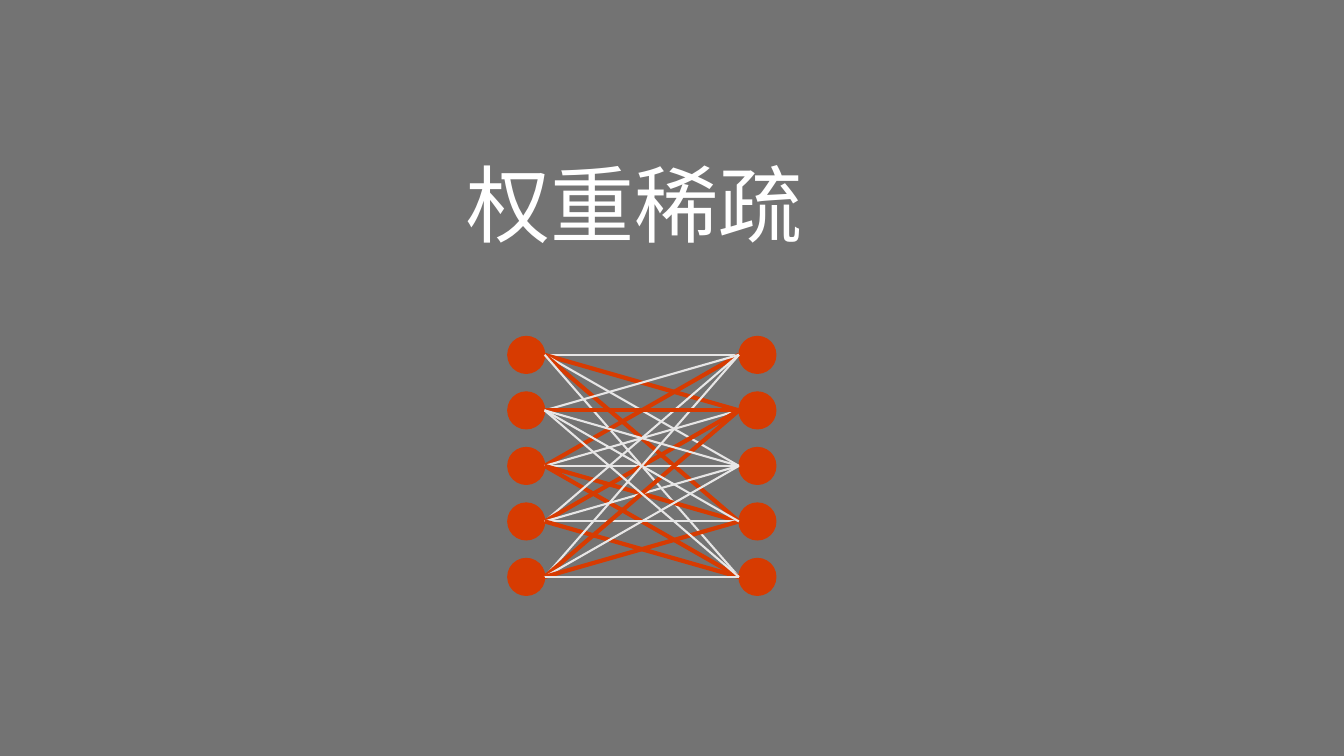
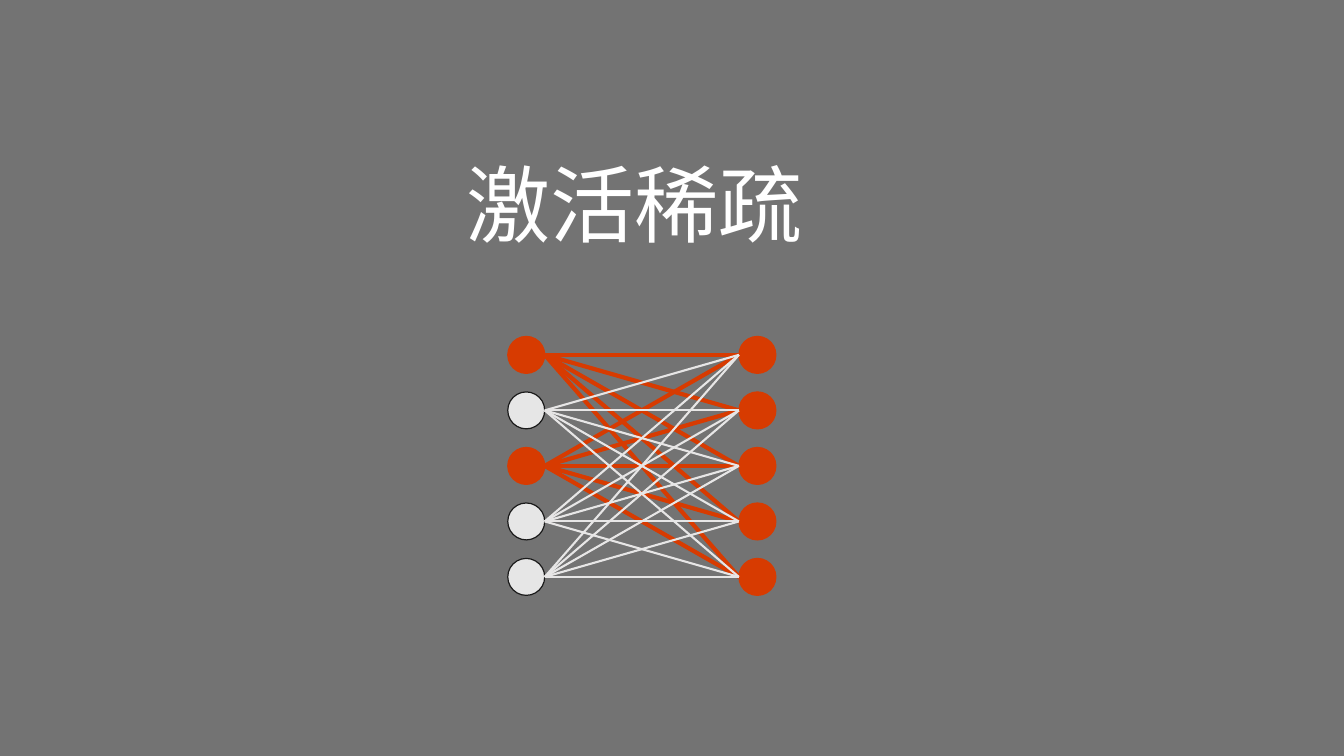
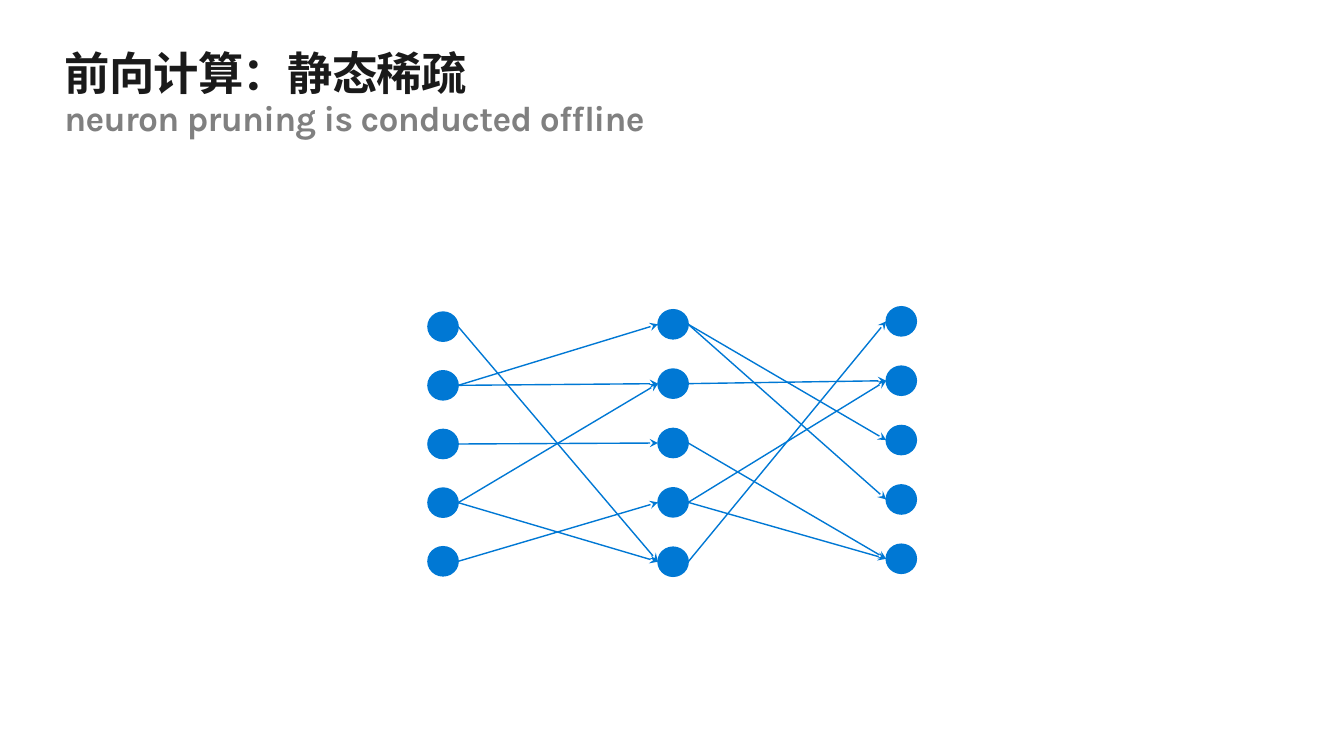
"""Build three slides on weight, activation and static sparsity."""
from lxml.etree import SubElement
from pptx import Presentation
from pptx.dml.color import RGBColor
from pptx.enum.shapes import MSO_CONNECTOR, MSO_SHAPE
from pptx.enum.text import MSO_ANCHOR, MSO_AUTO_SIZE, PP_ALIGN
from pptx.oxml.ns import qn
from pptx.util import Pt

COLORS = {
    "gray": "737373",
    "white": "FFFFFF",
    "ink": "1A1A1A",
    "subtitle": "808080",
    "orange": "D73B01",
    "idle_node": "E6E6E6",
    "idle_wire": "E7E6E6",
    "blue": "0078D4",
}
FONT = "Karla"
ROWS = 5


def add_slide(background, box, inset, lines, spacing):
    slide = presentation.slides.add_slide(presentation.slide_layouts[5])
    slide.background.fill.solid()
    slide.background.fill.fore_color.rgb = RGBColor.from_string(COLORS[background])
    title = slide.shapes.title
    title.left, title.top, title.width, title.height = [Pt(value) for value in box]
    frame = title.text_frame
    frame.word_wrap = True
    frame.auto_size = MSO_AUTO_SIZE.NONE
    frame.vertical_anchor = MSO_ANCHOR.TOP
    frame.margin_left = frame.margin_right = Pt(inset)
    frame.margin_top = frame.margin_bottom = Pt(inset / 2)
    paragraph = frame.paragraphs[0]
    paragraph.alignment = PP_ALIGN.LEFT
    paragraph.line_spacing = spacing
    for index, (text, size, color, bold) in enumerate(lines):
        if index:
            paragraph.add_line_break()
        run = paragraph.add_run()
        run.text = text
        run.font.name = FONT
        run.font.size = Pt(size)
        run.font.bold = bold
        run.font.color.rgb = RGBColor.from_string(COLORS[color])
        if bold:
            run.font._element.set("spc", "-50")
    return slide


def add_network(slide, columns, node_size, node_style, wires, arrow=False):
    width, height = node_size
    shapes = slide.shapes.add_group_shape().shapes
    for column, (left, top, pitch) in enumerate(columns):
        for row in range(ROWS):
            fill, outline, weight = node_style(column, row)
            node = shapes.add_shape(MSO_SHAPE.OVAL, Pt(left), Pt(top + row * pitch), Pt(width), Pt(height))
            node.shadow.inherit = False
            node.fill.solid()
            node.fill.fore_color.rgb = RGBColor.from_string(COLORS[fill])
            node.line.color.rgb = RGBColor.from_string(COLORS[outline])
            node.line.width = Pt(weight)
    for column, source, target, color, weight in wires:
        start_left, start_top, start_pitch = columns[column]
        end_left, end_top, end_pitch = columns[column + 1]
        wire = shapes.add_connector(
            MSO_CONNECTOR.STRAIGHT,
            Pt(start_left + width), Pt(start_top + source * start_pitch + height / 2),
            Pt(end_left), Pt(end_top + target * end_pitch + height / 2),
        )
        wire.line.color.rgb = RGBColor.from_string(COLORS[color])
        wire.line.width = Pt(weight)
        if arrow:
            SubElement(wire.line._get_or_add_ln(), qn("a:tailEnd"), type="stealth")
        SubElement(wire._element.spPr, qn("a:effectLst"))


presentation = Presentation()
presentation.slide_width = Pt(960)
presentation.slide_height = Pt(540)

dense_columns = [(362.7, 240.3, 39.65), (527.8, 240.3, 39.65)]
drawing_order = [0, 2, 3, 4, 1]
every_row = list(range(ROWS))
sparsity_slides = [
    ("权重稀疏", every_row, {0: [1, 3], 1: [1], 2: [0, 3, 4], 3: [1, 4], 4: [1, 3]}),
    ("激活稀疏", [0, 2], {0: every_row, 2: every_row}),
]
for heading, active_rows, active_wires in sparsity_slides:
    slide = add_slide("gray", (326.2, 113.8, 288, 79.9), 7.2, [(heading, 60, "white", False)], 0.9)
    wires = []
    for source in drawing_order:
        for target in every_row:
            active = target in active_wires.get(source, [])
            wires.append((0, source, target, *(("orange", 3) if active else ("idle_wire", 1.5))))
    add_network(
        slide, dense_columns, (26.4, 26.4),
        lambda column, row: ("orange", "orange", 0.85) if column or row in active_rows
        else ("idle_node", "ink", 0.85),
        wires,
    )

slide = add_slide(
    "white", (46, 36, 867.6, 43.9), 0,
    [("前向计算：静态稀疏", 32.4, "ink", True),
     ("neuron pruning is conducted offline", 25.2, "subtitle", True)],
    0.92,
)
static_columns = [(305.7, 222.9, 41.9), (470, 221.2, 42.4), (633, 219.1, 42.4)]
static_links = [
    [(0, 4), (1, 0), (1, 1), (2, 2), (3, 4), (4, 3), (3, 1)],
    [(0, 2), (0, 3), (1, 1), (2, 4), (3, 4), (4, 0), (3, 1)],
]
add_network(
    slide, static_columns, (21.6, 20.9),
    lambda column, row: ("blue", "blue", 1),
    [(column, source, target, "blue", 1)
     for column, links in enumerate(static_links) for source, target in links],
    arrow=True,
)

presentation.save("out.pptx")
